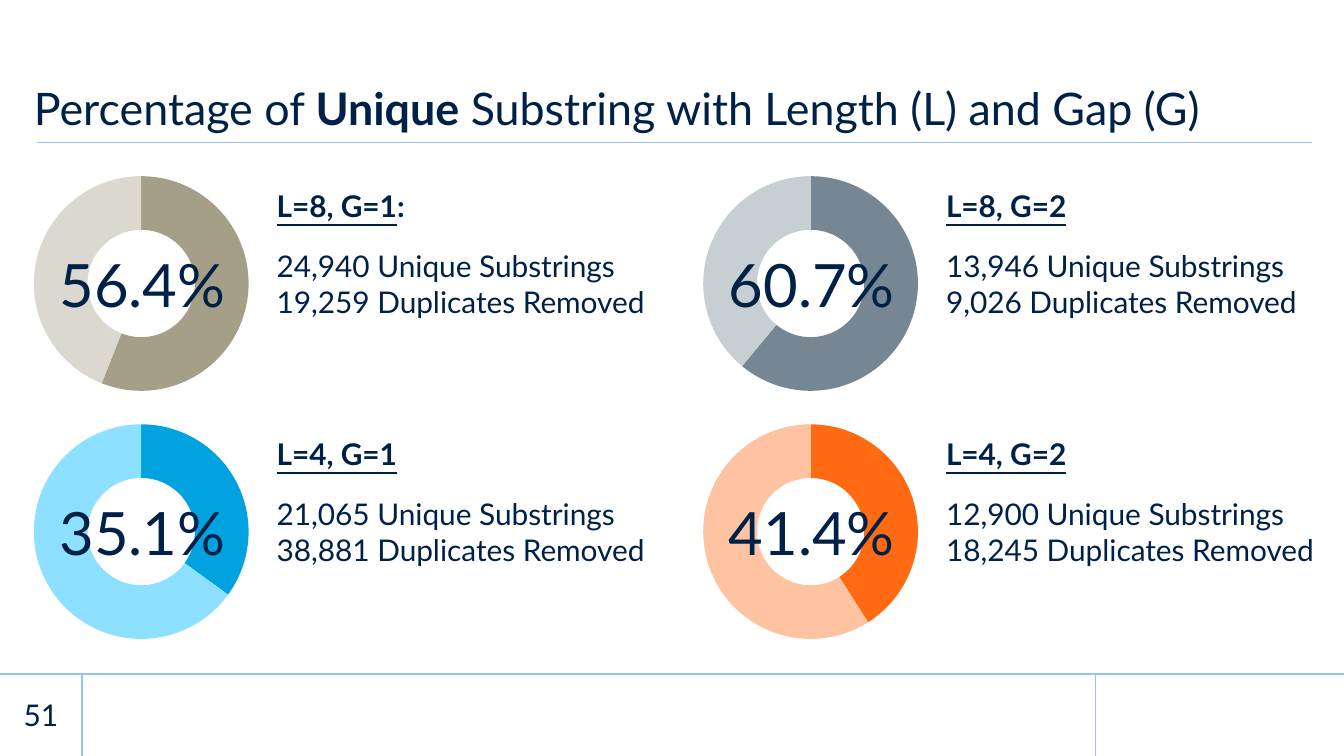
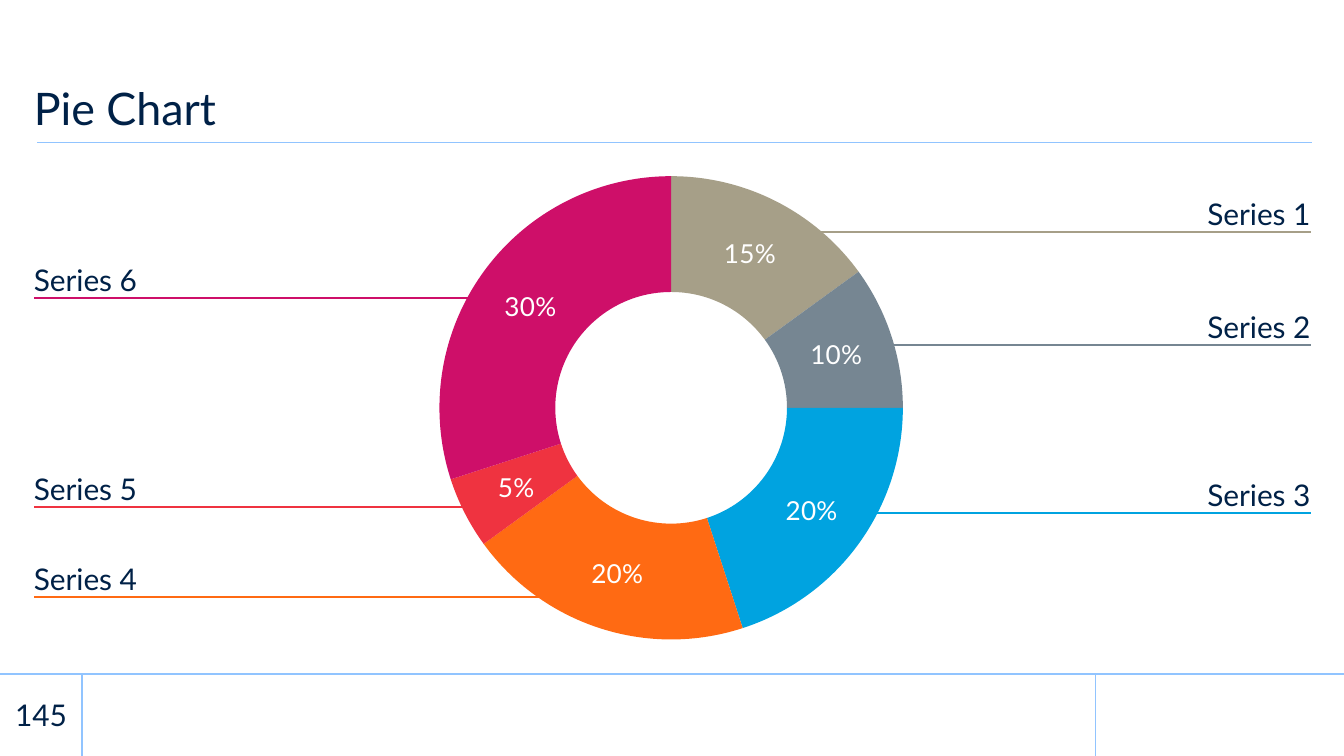
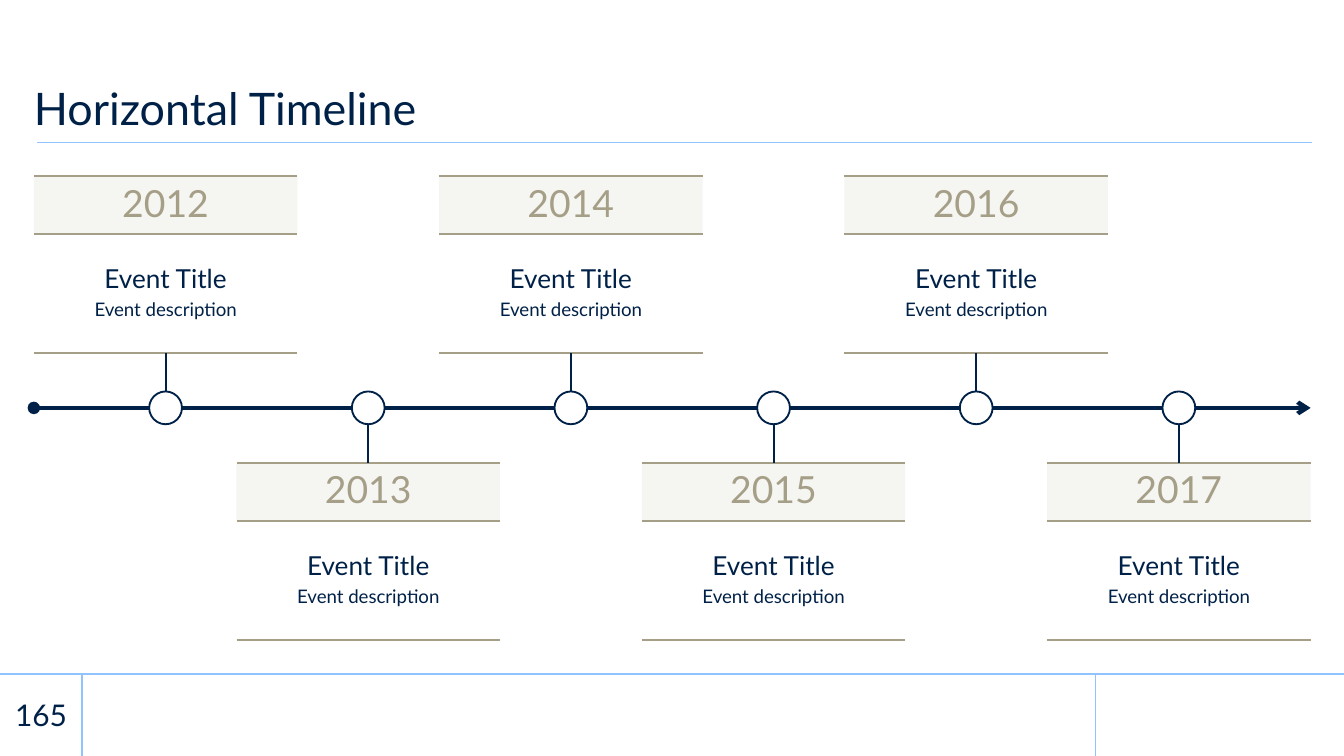
from dataclasses import dataclass

from pptx import Presentation
from pptx import util as u
from pptx.chart import data as chart_data
from pptx.dml import color
from pptx.enum import chart as chart_enum
from pptx.enum import shapes, text
from pptx.oxml import ns, xmlchemy

LEFT, CENTER, RIGHT = text.PP_ALIGN.LEFT, text.PP_ALIGN.CENTER, text.PP_ALIGN.RIGHT
TOP_SIDE, BOTTOM_SIDE = 0, 2


@dataclass(frozen=True)
class Theme:
    font: str = "Lato"
    navy: str = "002147"
    sky: str = "91C4FF"
    white: str = "FFFFFF"
    black: str = "000000"
    stone: str = "A69F88"
    pale_stone: str = "DBD9CF"
    slate: str = "768692"
    pale_slate: str = "C8CFD3"
    blue: str = "00A3E0"
    pale_blue: str = "8DE0FF"
    orange: str = "FF6A13"
    pale_orange: str = "FFC3A1"
    red: str = "EF3340"
    magenta: str = "CE0F69"
    title: int = 24
    figure: int = 32
    year: int = 20
    chart: int = 18
    body: int = 16
    label: int = 14
    small: int = 10


@dataclass(frozen=True)
class Box:
    x: float
    y: float
    w: float
    h: float

    @property
    def right(self):
        return self.x + self.w

    @property
    def bottom(self):
        return self.y + self.h

    @property
    def middle(self):
        return self.x + self.w / 2

    def inner(self, dx, dy, w, h):
        return Box(self.x + dx, self.y + dy, w, h)

    def lengths(self):
        return [u.Cm(v) for v in (self.x, self.y, self.w, self.h)]


THEME = Theme()
PAGE = Box(0, 0, 25.4, 14.29)
TITLE = Box(0.64, 0.66, 24.13, 2.03)
CONTENT = Box(0.64, 3.33, 24.13, 8.76)
FOOTER = Box(0, 12.74, 25.4, 1.55)
NUMBER_WIDTH = 1.55
LOGO_LEFT = 20.7


def rgb(value):
    return color.RGBColor.from_string(value)


def add_run(paragraph, words, size, tint=THEME.navy, bold=None, underline=None):
    run = paragraph.add_run()
    run.text = words
    run.font.name = THEME.font
    run.font.size = u.Pt(size)
    run.font.color.rgb = rgb(tint)
    run.font.bold = bold
    run.font.underline = underline


def set_frame(frame, anchor, insets=None, wrap=True, grow=False):
    frame.word_wrap = wrap
    frame.vertical_anchor = anchor
    frame.auto_size = (text.MSO_AUTO_SIZE.SHAPE_TO_FIT_TEXT if grow
                       else text.MSO_AUTO_SIZE.NONE)
    if insets is not None:
        (frame.margin_left, frame.margin_top,
         frame.margin_right, frame.margin_bottom) = [u.Cm(v) for v in insets]


def write(frame, lines, align=LEFT, spacing=None, after=None):
    for index, runs in enumerate(lines):
        paragraph = frame.add_paragraph() if index else frame.paragraphs[0]
        paragraph.alignment = align
        paragraph.line_spacing = spacing
        if after is not None:
            paragraph.space_after = u.Pt(after)
        for run in runs:
            add_run(paragraph, *run)


def add_text(slide, box, lines, align=LEFT, anchor=text.MSO_ANCHOR.MIDDLE,
             insets=None, wrap=True, grow=False, spacing=None, after=None):
    holder = slide.shapes.add_textbox(*box.lengths())
    set_frame(holder.text_frame, anchor, insets, wrap, grow)
    write(holder.text_frame, lines, align, spacing, after)
    return holder


def add_block(slide, kind, box, fill, opacity=None, outline=None):
    block = slide.shapes.add_shape(kind, *box.lengths())
    block.shadow.inherit = False
    block.fill.solid()
    block.fill.fore_color.rgb = rgb(fill)
    if opacity is not None:
        tint = block._element.spPr.find(".//" + ns.qn("a:srgbClr"))
        tint.append(tint.makeelement(ns.qn("a:alpha"), {"val": str(opacity * 1000)}))
    if outline:
        block.line.color.rgb = rgb(outline)
        block.line.width = u.Pt(1)
    else:
        block.line.fill.background()
    return block


def add_line(slide, x1, y1, x2, y2, tint, width=1.0, head=None, tail=None):
    line = slide.shapes.add_connector(
        shapes.MSO_CONNECTOR.STRAIGHT, *[u.Cm(v) for v in (x1, y1, x2, y2)])
    line.line.color.rgb = rgb(tint)
    line.line.width = u.Pt(width)
    properties = line._element.spPr
    outline = properties.find(ns.qn("a:ln"))
    for tag, end in (("a:headEnd", head), ("a:tailEnd", tail)):
        if end:
            outline.append(outline.makeelement(ns.qn(tag), {"type": end}))
    properties.append(properties.makeelement(ns.qn("a:effectLst"), {}))
    return line


def add_doughnut(slide, box, values, tints, hole, plot_x, plot_w, labels=None):
    data = chart_data.CategoryChartData()
    data.categories = [str(n) for n in range(1, len(values) + 1)]
    data.add_series("Series 1", values)
    chart = slide.shapes.add_chart(
        chart_enum.XL_CHART_TYPE.DOUGHNUT, *box.lengths(), data).chart
    chart.has_title = False
    chart.has_legend = False
    chart.font.name = THEME.font
    chart.font.size = u.Pt(THEME.chart)
    chart.font.color.rgb = rgb(THEME.black)
    plot = chart.plots[0]
    plot.vary_by_categories = True
    series = plot.series[0]
    for index, tint in enumerate(tints):
        look = series.points[index].format
        look.fill.solid()
        look.fill.fore_color.rgb = rgb(tint)
        look.line.fill.background()
    if labels:
        shares = series.data_labels
        shares.show_value = True
        shares.number_format = labels
        shares.number_format_is_linked = False
        shares.font.name = THEME.font
        shares.font.size = u.Pt(THEME.label)
        shares.font.color.rgb = rgb(THEME.white)
    area = chart._chartSpace.find(".//" + ns.qn("c:plotArea"))
    area.find(".//" + ns.qn("c:holeSize")).set("val", str(hole))
    set_plot_box(area, plot_x, plot_w)


def set_plot_box(area, x, w):
    for old in area.findall(ns.qn("c:layout")):
        area.remove(old)
    layout = xmlchemy.OxmlElement("c:layout")
    manual = xmlchemy.OxmlElement("c:manualLayout")
    settings = (("layoutTarget", "inner"), ("xMode", "edge"), ("yMode", "edge"),
                ("x", x), ("y", 0), ("w", w), ("h", 1))
    for tag, value in settings:
        manual.append(manual.makeelement(ns.qn("c:" + tag), {"val": str(value)}))
    layout.append(manual)
    area.insert(0, layout)


def add_footer(slide, box, number):
    rectangle = shapes.MSO_SHAPE.RECTANGLE
    add_block(slide, rectangle, box, THEME.white, opacity=85)
    add_block(slide, rectangle,
              box.inner(LOGO_LEFT, 0, box.w - LOGO_LEFT, box.h), THEME.white)
    add_line(slide, box.right, box.y, box.x, box.y, THEME.sky, 0.75)
    for x in (box.x + LOGO_LEFT, box.x + NUMBER_WIDTH):
        add_line(slide, x, box.bottom, x, box.y, THEME.sky, 0.75)
    add_text(slide, box.inner(0, 0, NUMBER_WIDTH, box.h),
             [[(str(number), THEME.body)]], CENTER, insets=(0, 0, 0, 0), wrap=False)


def add_title(slide, box, runs):
    add_line(slide, box.right + 0.02, box.bottom, box.x + 0.05, box.bottom,
             THEME.sky, 0.75)
    title = slide.shapes.title
    title.left, title.top, title.width, title.height = box.lengths()
    set_frame(title.text_frame, text.MSO_ANCHOR.BOTTOM, (0, 0, 0, 0.13))
    write(title.text_frame, [runs], spacing=0.9)


def start_slide(deck, number, *title_runs):
    slide = deck.slides.add_slide(deck.slide_layouts[5])
    add_footer(slide, FOOTER, number)
    add_title(slide, TITLE, title_runs)
    return slide


def add_share(slide, box, heading, percent, counts, values, tints):
    ring = box.inner(0, 0, 4.11, box.h)
    add_doughnut(slide, ring, values, tints, 90, 0, 0.988)
    add_text(slide, ring.inner(0.14, 1.22, 3.83, 1.63),
             [[(percent, THEME.figure)]], CENTER, wrap=False, grow=True)
    add_text(slide, box.inner(4.34, 1.22, 7.6, 1.63),
             [[(count, THEME.body)] for count in counts], grow=True)
    add_text(slide, box.inner(4.34, 0.08, 7.14, 0.94), [heading], grow=True)


def unique_substrings(deck):
    slide = start_slide(
        deck, 51,
        ("Percentage of ", THEME.title),
        ("Unique", THEME.title, THEME.navy, True),
        (" Substring with Length (L) and Gap (G)", THEME.title))
    shares = [
        ("L=8, G=1", ":", "56.4%", "24,940", "19,259", (56, 44),
         (THEME.stone, THEME.pale_stone)),
        ("L=8, G=2", "", "60.7%", "13,946", "9,026", (61, 39),
         (THEME.slate, THEME.pale_slate)),
        ("L=4, G=1", "", "35.1%", "21,065", "38,881", (35, 65),
         (THEME.blue, THEME.pale_blue)),
        ("L=4, G=2", "", "41.4%", "12,900", "18,245", (41, 59),
         (THEME.orange, THEME.pale_orange)),
    ]
    for index, (case, colon, percent, unique, removed, values, tints) in enumerate(shares):
        row, column = divmod(index, 2)
        heading = [(case, THEME.body, THEME.navy, True, True)]
        if colon:
            heading.append((colon, THEME.body, THEME.navy, True))
        counts = (f"{unique} Unique Substrings", f"{removed} Duplicates Removed")
        add_share(slide, CONTENT.inner(column * 12.65, row * 4.69, 11.94, 4.06),
                  heading, percent, counts, values, tints)


def add_callout(slide, box, name, tint, y, tip, on_right):
    edge = box.right if on_right else box.x
    label_w, label_h = 7.21, 0.61
    add_line(slide, box.x + tip, box.y + y, edge, box.y + y, tint)
    add_text(slide,
             box.inner(box.w - label_w if on_right else 0, y - label_h, label_w, label_h),
             [[(name, THEME.body)]], RIGHT if on_right else LEFT,
             text.MSO_ANCHOR.BOTTOM, (0, 0, 0, 0), grow=True, spacing=0.9)


def pie_chart(deck):
    slide = start_slide(deck, 145, ("Pie Chart", THEME.title))
    slices = [
        (0.15, THEME.stone, 1.06, 13.33, True),
        (0.1, THEME.slate, 3.19, 15.41, True),
        (0.2, THEME.blue, 6.36, 14.93, True),
        (0.2, THEME.orange, 7.95, 10.71, False),
        (0.05, THEME.red, 6.25, 8.78, False),
        (0.3, THEME.magenta, 2.31, 8.96, False),
    ]
    for index, (_, tint, y, tip, on_right) in enumerate(slices, 1):
        add_callout(slide, CONTENT, f"Series {index}", tint, y, tip, on_right)
    values, tints = list(zip(*slices))[:2]
    add_doughnut(slide, CONTENT.inner(7.06, 0, 10.03, CONTENT.h),
                 values, tints, 65, 0.039, 0.916, labels="0%")


def add_event(slide, box, year, axis_y, above):
    year_h, dot = 1.09, 0.62
    year_box = box.inner(0, 0, box.w, year_h)
    heading = add_block(slide, shapes.MSO_SHAPE.RECTANGLE, year_box,
                        THEME.stone, opacity=10)
    set_frame(heading.text_frame, text.MSO_ANCHOR.MIDDLE)
    write(heading.text_frame, [[(str(year), THEME.year, THEME.stone)]], CENTER, 0.9)
    details = add_text(
        slide, box.inner(0, year_h, box.w, box.h - year_h),
        [[("Event Title", THEME.label)], [("Event description", THEME.small)]],
        CENTER, insets=(0.25, 0.25, 0.25, 0.25), spacing=0.9, after=3)
    for y in (box.y, year_box.bottom, box.bottom):
        add_line(slide, box.x, y, box.right, y, THEME.stone)
    card_y = box.bottom if above else box.y
    dot_y = axis_y - dot / 2 if above else axis_y + dot / 2
    stem = add_line(slide, box.middle, card_y, box.middle, dot_y, THEME.navy)
    if above:
        stem.begin_connect(details, BOTTOM_SIDE)
    else:
        stem.begin_connect(heading, TOP_SIDE)
    add_block(slide, shapes.MSO_SHAPE.OVAL,
              Box(box.middle - dot / 2, axis_y - dot / 2, dot, dot),
              THEME.white, outline=THEME.navy)


def horizontal_timeline(deck):
    slide = start_slide(deck, 165, ("Horizontal Timeline", THEME.title))
    years = range(2012, 2018)
    card_w, card_h = 4.98, 3.34
    step = (CONTENT.w - card_w) / (len(years) - 1)
    axis_y = CONTENT.y + CONTENT.h / 2
    add_line(slide, CONTENT.x, axis_y, CONTENT.right, axis_y, THEME.navy, 2.25,
             "oval", "arrow")
    for index, year in enumerate(years):
        above = index % 2 == 0
        drop = 0 if above else CONTENT.h - card_h
        add_event(slide, CONTENT.inner(index * step, drop, card_w, card_h),
                  year, axis_y, above)


def main():
    deck = Presentation()
    deck.slide_width, deck.slide_height = u.Cm(PAGE.w), u.Cm(PAGE.h)
    unique_substrings(deck)
    pie_chart(deck)
    horizontal_timeline(deck)
    deck.save("out.pptx")


if __name__ == "__main__":
    main()
